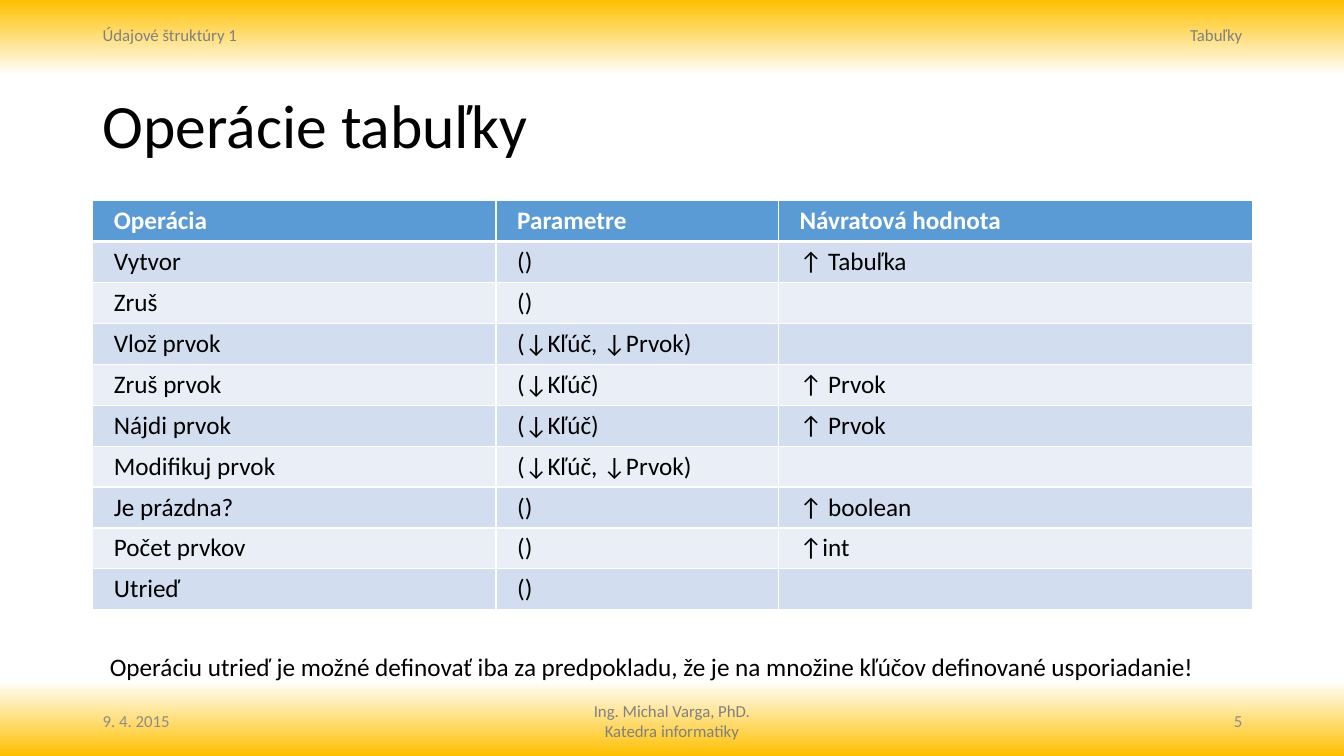
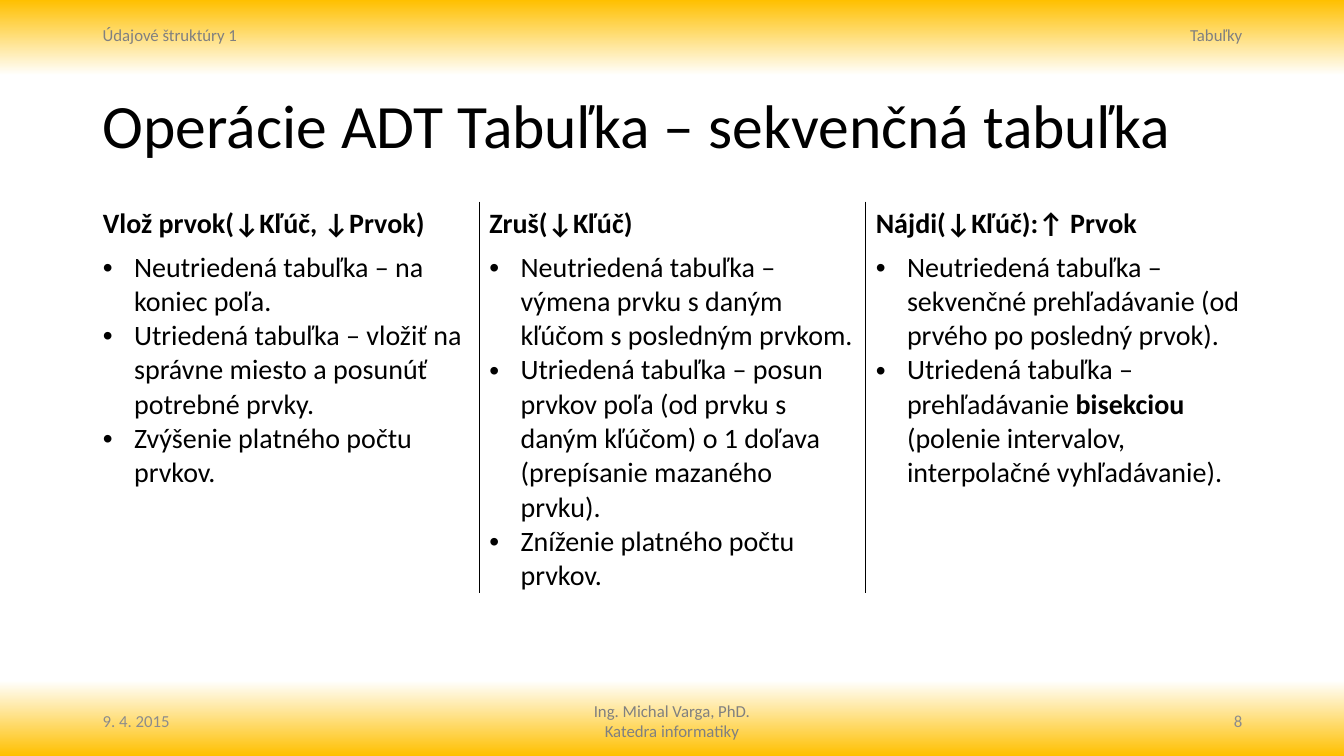
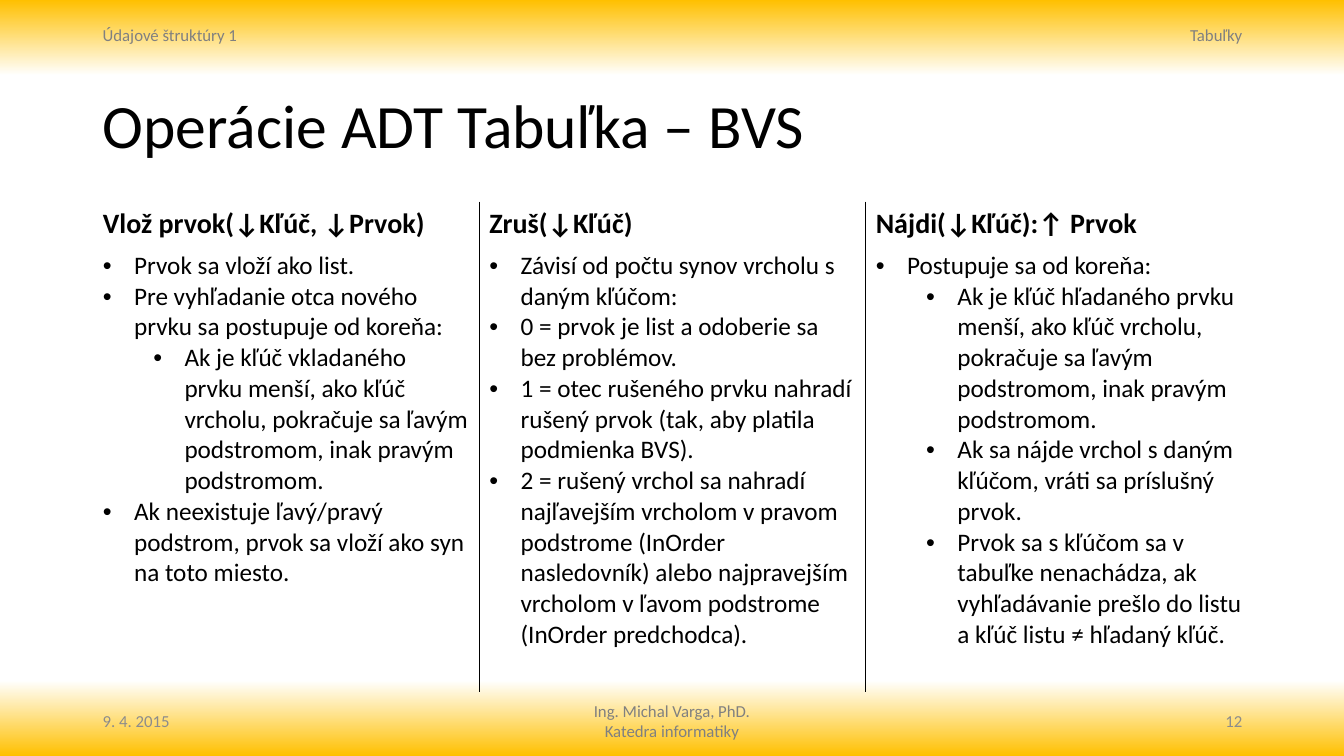
import pptx
import pptx.dml.color
import pptx.enum.text
import pptx.oxml
import pptx.oxml.ns
import pptx.util

Inches = pptx.util.Inches
Align = pptx.enum.text.PP_ALIGN
Anchor = pptx.enum.text.MSO_ANCHOR
color = pptx.dml.color.RGBColor.from_string
NS = pptx.oxml.ns.nsdecls("a")

FONT = "Calibri"
GOLD, WHITE, BLACK = "FFC000", "FFFFFF", "000000"
GRAY, LIGHT_GRAY = "808080", "8C8C8C"
HEADER_BLUE, BANDS = "5B9BD5", ("EAEFF7", "D2DEEF")
PLAIN_TABLE = "{2D5ABB26-0587-4C30-8999-92F81FD0307C}"
LEFT, WIDTH = 0.92, 11.5
RIGHT_BOX = LEFT + WIDTH - 3


def write(frame, *paragraphs, size=18, fill=BLACK, bold=False, align=Align.LEFT,
          anchor=None, wrap=True, bullets=False, spacing=None):
    """Fill a text frame; a paragraph is text or (level, text), **marks** bold."""
    frame.word_wrap = wrap
    if anchor is not None:
        frame.vertical_anchor = anchor
    for number, content in enumerate(paragraphs):
        level, text = content if isinstance(content, tuple) else (0, content)
        paragraph = frame.add_paragraph() if number else frame.paragraphs[0]
        paragraph.level = level
        paragraph.alignment = align
        if spacing:
            paragraph.line_spacing = spacing
        if bullets:
            props = paragraph._p.get_or_add_pPr()
            props.set("marL", str(Inches(0.81 if level else 0.31)))
            props.set("indent", str(Inches(-0.31)))
            for tag in ('buFont typeface="Arial"', 'buChar char="•"'):
                props.append(pptx.oxml.parse_xml(f"<a:{tag} {NS}/>"))
        for part, piece in enumerate(text.split("**")):
            run = paragraph.add_run()
            run.text = piece
            run.font.name = FONT
            run.font.size = pptx.util.Pt(size)
            run.font.bold = bold or part % 2 == 1
            run.font.color.rgb = color(fill)


def draw_borders(cell, line_color, **widths):
    """Widths in points by side, in the order L, R, T, B."""
    for side, width in widths.items():
        cell._tc.get_or_add_tcPr().append(pptx.oxml.parse_xml(
            f'<a:ln{side} {NS} w="{pptx.util.Pt(width)}"><a:solidFill>'
            f'<a:srgbClr val="{line_color}"/></a:solidFill></a:ln{side}>'))


operations = [
    ("Operácia", "Parametre", "Návratová hodnota"),
    ("Vytvor", "()", "↑ Tabuľka"),
    ("Zruš", "()", ""),
    ("Vlož prvok", "(↓Kľúč, ↓Prvok)", ""),
    ("Zruš prvok", "(↓Kľúč)", "↑ Prvok"),
    ("Nájdi prvok", "(↓Kľúč)", "↑ Prvok"),
    ("Modifikuj prvok", "(↓Kľúč, ↓Prvok)", ""),
    ("Je prázdna?", "()", "↑ boolean"),
    ("Počet prvkov", "()", "↑int"),
    ("Utrieď", "()", ""),
]
signatures = ["Vlož prvok(↓Kľúč, ↓Prvok)", "Zruš(↓Kľúč)", "Nájdi(↓Kľúč):↑ Prvok"]
sequential = [
    ["Neutriedená tabuľka – na koniec poľa.",
     "Utriedená tabuľka – vložiť na správne miesto a posunúť potrebné prvky.",
     "Zvýšenie platného počtu prvkov."],
    ["Neutriedená tabuľka – výmena prvku s daným kľúčom s posledným prvkom.",
     "Utriedená tabuľka – posun prvkov poľa (od prvku s daným kľúčom) o 1 doľava "
     "(prepísanie mazaného prvku).",
     "Zníženie platného počtu prvkov."],
    ["Neutriedená tabuľka – sekvenčné prehľadávanie (od prvého po posledný prvok).",
     "Utriedená tabuľka – prehľadávanie **bisekciou** (polenie intervalov, "
     "interpolačné vyhľadávanie)."],
]
search_tree = [
    ["Prvok sa vloží ako list.",
     "Pre vyhľadanie otca nového prvku sa postupuje od koreňa:",
     (1, "Ak je kľúč vkladaného prvku menší, ako kľúč vrcholu, pokračuje sa ľavým "
         "podstromom, inak pravým podstromom."),
     "Ak neexistuje ľavý/pravý podstrom, prvok sa vloží ako syn na toto miesto."],
    ["Závisí od počtu synov vrcholu s daným kľúčom:",
     "0 = prvok je list a odoberie sa bez problémov.",
     "1 = otec rušeného prvku nahradí rušený prvok (tak, aby platila podmienka BVS).",
     "2 = rušený vrchol sa nahradí najľavejším vrcholom v pravom podstrome (InOrder "
     "nasledovník) alebo najpravejším vrcholom v ľavom podstrome (InOrder predchodca)."],
    ["Postupuje sa od koreňa:",
     (2, "Ak je kľúč hľadaného prvku menší, ako kľúč vrcholu, pokračuje sa ľavým "
         "podstromom, inak pravým podstromom."),
     (2, "Ak sa nájde vrchol s daným kľúčom, vráti sa príslušný prvok."),
     (2, "Prvok sa s kľúčom sa v tabuľke nenachádza, ak vyhľadávanie prešlo do listu "
         "a kľúč listu ≠ hľadaný kľúč.")],
]

prs = pptx.Presentation()
prs.slide_width, prs.slide_height = Inches(13.33), Inches(7.5)

# Gold bands at the top and bottom of every slide
backdrop = prs.slide_master.background.fill
backdrop.gradient()
backdrop.gradient_angle = 90
stops = prs.slide_master.element.find(".//" + pptx.oxml.ns.qn("a:gsLst"))
for stop in list(stops):
    stops.remove(stop)
for percent, shade in ((0, GOLD), (10, WHITE), (90, WHITE), (100, GOLD)):
    stops.append(pptx.oxml.parse_xml(
        f'<a:gs {NS} pos="{percent * 1000}"><a:srgbClr val="{shade}"/></a:gs>'))

# Title, header and footer
slides = []
for heading, page in (("Operácie tabuľky", "5"),
                      ("Operácie ADT Tabuľka – sekvenčná tabuľka", "8"),
                      ("Operácie ADT Tabuľka – BVS", "12")):
    slide = prs.slides.add_slide(prs.slide_layouts[5])
    slides.append(slide)
    title = slide.shapes.title
    title.left, title.top = Inches(LEFT), Inches(0.7)
    title.width, title.height = Inches(WIDTH), Inches(1.15)
    write(title.text_frame, heading, size=44, anchor=Anchor.MIDDLE, spacing=0.9)
    title.text_frame.auto_size = pptx.enum.text.MSO_AUTO_SIZE.NONE
    for lines, left, top, width, height, align, shade, anchor in (
            (["Údajové štruktúry 1"], LEFT, 0.2, 3, 0.31, Align.LEFT, GRAY, Anchor.TOP),
            (["Tabuľky"], RIGHT_BOX, 0.2, 3, 0.31, Align.RIGHT, GRAY, Anchor.TOP),
            (["Ing. Michal Varga, PhD.", "Katedra informatiky"],
             4.76, 6.9, 3.81, 0.5, Align.CENTER, GRAY, Anchor.TOP),
            (["9. 4. 2015"], LEFT, 6.95, 3, 0.4, Align.LEFT, LIGHT_GRAY, Anchor.MIDDLE),
            ([page], RIGHT_BOX, 6.95, 3, 0.4, Align.RIGHT, LIGHT_GRAY, Anchor.MIDDLE)):
        box = slide.shapes.add_textbox(
            Inches(left), Inches(top), Inches(width), Inches(height))
        write(box.text_frame, *lines, size=12, fill=shade, align=align, anchor=anchor)

# Empty tables, one for each slide
tables = []
for slide, row_count, top, height in zip(
        slides, (len(operations), 2, 2), (1.99, 2, 2), (4.06, 3.87, 4.85)):
    table = slide.shapes.add_table(
        row_count, 3, Inches(LEFT), Inches(top), Inches(WIDTH), Inches(height)).table
    table.first_row = table.horz_banding = False
    table._tbl.tblPr.find(pptx.oxml.ns.qn("a:tableStyleId")).text = PLAIN_TABLE
    tables.append(table)

# Slide 1: list of operations
for column, width in zip(tables[0].columns, (4, 2.8, 4.7)):
    column.width = Inches(width)
for r, operation in enumerate(operations):
    for c, text in enumerate(operation):
        cell = tables[0].cell(r, c)
        cell.margin_left = cell.margin_right = Inches(0.21)
        draw_borders(cell, WHITE, L=1, R=1, T=3 if r == 1 else 1, B=1 if r else 3)
        cell.fill.solid()
        cell.fill.fore_color.rgb = color(BANDS[r % 2] if r else HEADER_BLUE)
        if text:
            write(cell.text_frame, text, fill=BLACK if r else WHITE, bold=r == 0)

note = slides[0].shapes.add_textbox(
    Inches(LEFT), Inches(6.41), Inches(11.09), Inches(0.4))
write(note.text_frame, "Operáciu utrieď je možné definovať iba za predpokladu, že je "
      "na množine kľúčov definované usporiadanie!", align=Align.CENTER, wrap=False)

# Slides 2 and 3: one column for each operation
for table, descriptions, size, height in (
        (tables[1], sequential, 20, 3.87), (tables[2], search_tree, 18, 4.85)):
    table.rows[0].height = Inches(0.42)
    table.rows[1].height = Inches(height - 0.42)
    for c, (signature, points) in enumerate(zip(signatures, descriptions)):
        for r in range(2):
            sides = {"L": 1} if c else {}
            if c < 2:
                sides["R"] = 1
            draw_borders(table.cell(r, c), BLACK, **sides)
            table.cell(r, c).fill.background()
        write(table.cell(0, c).text_frame, signature, size=20, bold=True)
        write(table.cell(1, c).text_frame, *points, size=size, bullets=True)

prs.save("out.pptx")
